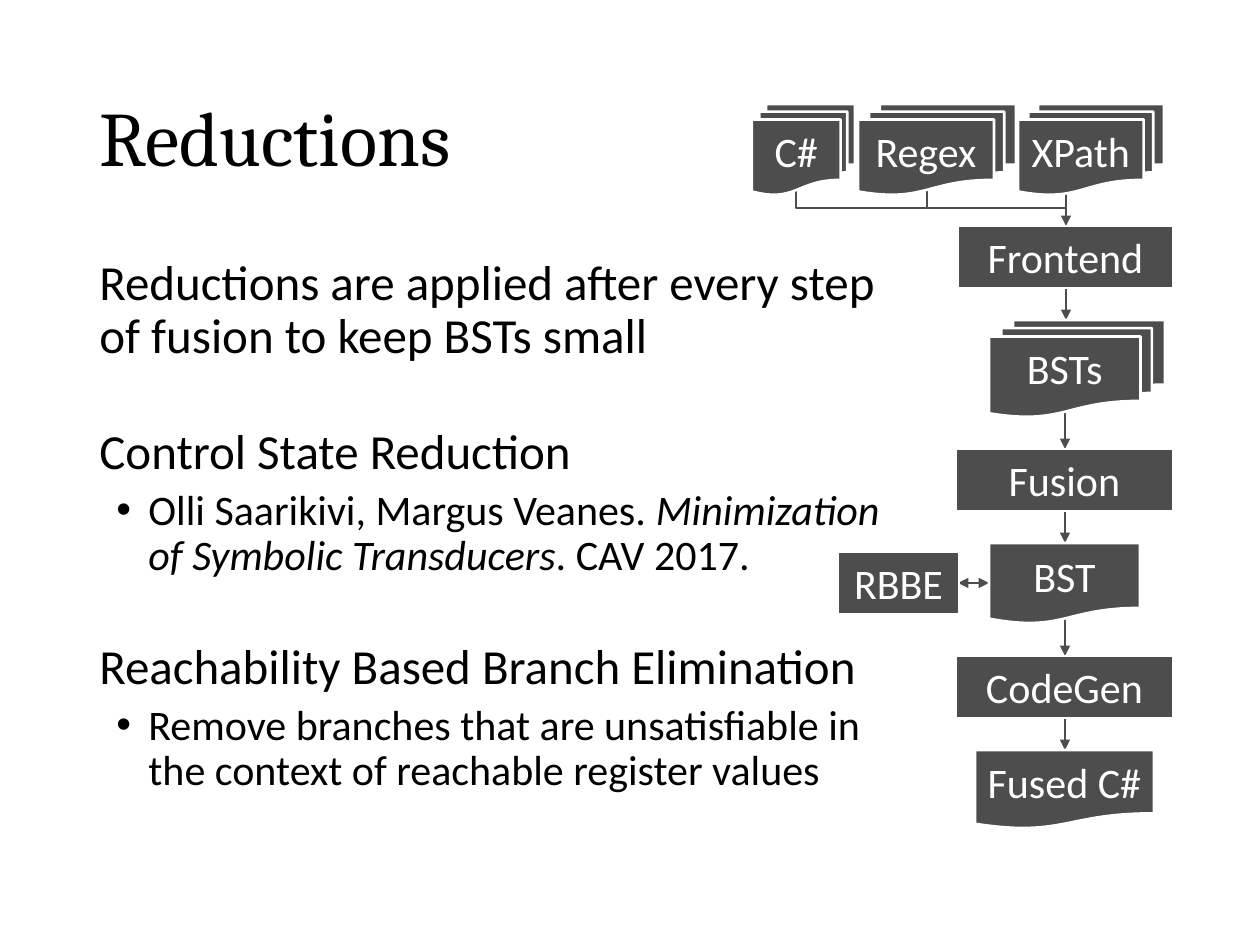
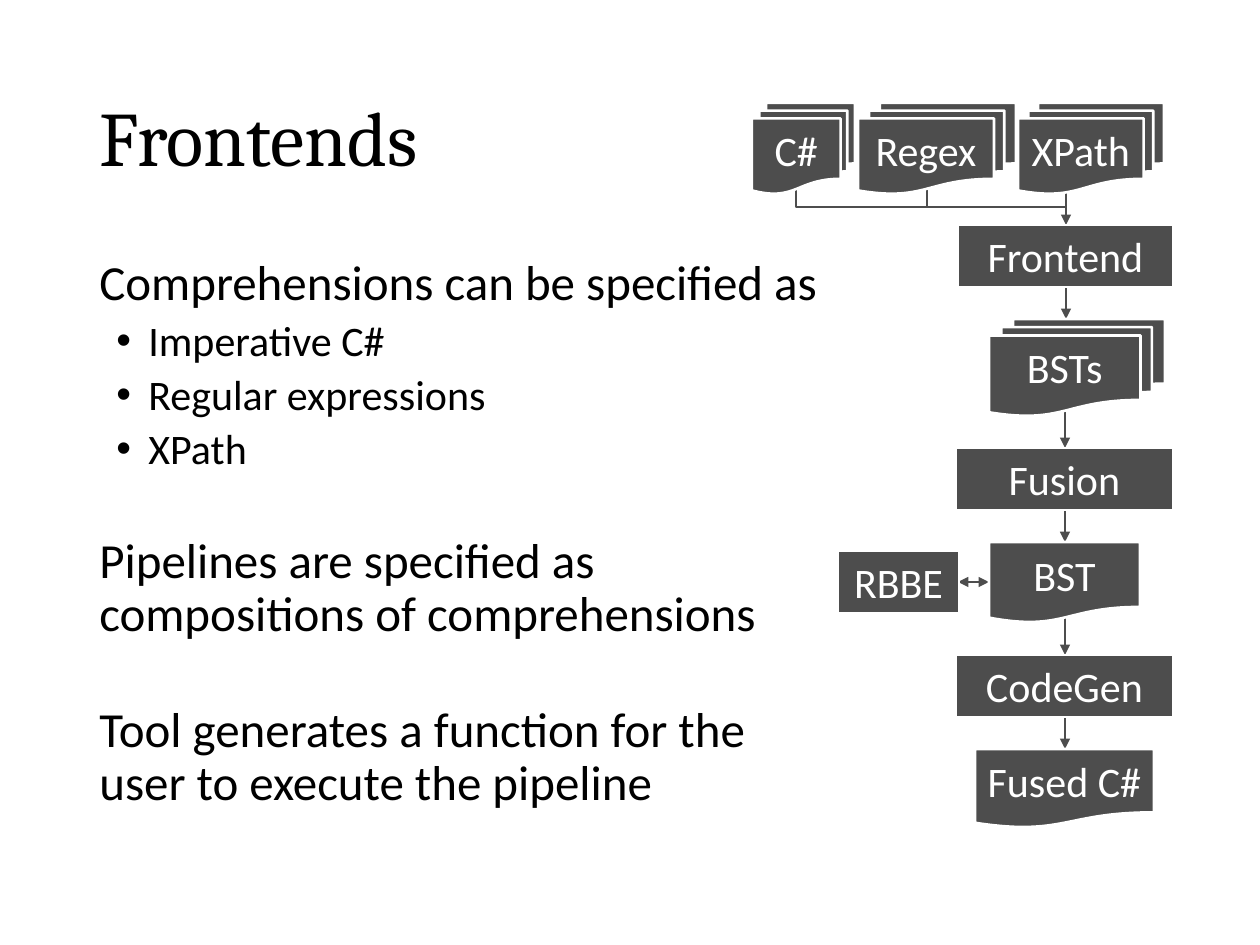
from lxml.etree import SubElement
from pptx import Presentation
from pptx.dml.color import RGBColor
from pptx.enum.shapes import MSO_CONNECTOR, MSO_SHAPE
from pptx.enum.text import MSO_ANCHOR, MSO_AUTO_SIZE, PP_ALIGN
from pptx.oxml.ns import qn
from pptx.util import Pt

GRAY = RGBColor(0x4D, 0x4D, 0x4D)
WHITE = RGBColor(0xFF, 0xFF, 0xFF)
BLACK = RGBColor(0, 0, 0)
HEAD, BODY = "Cambria", "Calibri"
STROKE = Pt(1.5)
SCALE = 914400 / 126
STACK = MSO_SHAPE.FLOWCHART_MULTIDOCUMENT
PAGE = MSO_SHAPE.FLOWCHART_DOCUMENT
STEP = MSO_SHAPE.FLOWCHART_PROCESS

BOXES = [
    ("C#", STACK, 752, 104, 103, 91),
    ("Regex", STACK, 858, 104, 158, 91),
    ("XPath", STACK, 1018, 104, 146, 91),
    ("Fused C#", PAGE, 975, 750, 179, 79),
    ("BSTs", STACK, 989, 320, 176, 97),
    ("BST", PAGE, 989, 543, 151, 81),
    ("Frontend", STEP, 958, 226, 215, 62),
    ("Fusion", STEP, 956, 449, 217, 62),
    ("RBBE", STEP, 838, 552, 121, 62),
    ("CodeGen", STEP, 956, 656, 217, 62),
]
FLOW = [
    (1066, 155, 226), (1066, 288, 320), (1065, 412, 449),
    (1065, 511, 543), (1065, 619, 656), (1065, 718, 750),
]
FEEDS = [(796, 190), (927, 164)]
HUB = (1066, 208)

SLIDES = [
    ("Reductions", 813, 0, [
        ("Reductions are applied after every step of fusion to keep BSTs small", 36, False),
        ("Control State Reduction", 36, False),
        ("Olli Saarikivi, Margus Veanes. *Minimization of Symbolic Transducers*. CAV 2017.", 5, True),
        ("Reachability Based Branch Elimination", 36, False),
        ("Remove branches that are unsatisfiable in the context of reachable register values", 5, True),
    ]),
    ("Frontends", 745, -1, [
        ("Comprehensions can be specified as", 5, False),
        ("Imperative C#", 5, True),
        ("Regular expressions", 5, True),
        ("XPath", 5, True),
        ("Pipelines are specified as compositions of comprehensions", 36, False),
        ("Tool generates a function for the user to execute the pipeline", 36, False),
    ]),
]


def px(*sizes):
    return [round(size * SCALE) for size in sizes]


def write(para, text, size=24, font=BODY, color=BLACK, align=PP_ALIGN.LEFT,
          line=None, before=0):
    para.alignment = align
    para.line_spacing = line
    para.space_before = Pt(before)
    for spot, part in enumerate(text.split("*")):
        run = para.add_run()
        run.text = part
        run.font.size = Pt(size)
        run.font.name = font
        run.font.color.rgb = color
        run.font.italic = spot % 2 == 1


def add_dot(para):
    props = para._p.get_or_add_pPr()
    left, hang = px(49, -32)
    props.set("marL", str(left))
    props.set("indent", str(hang))
    SubElement(props, qn("a:buFont")).set("typeface", "Arial")
    SubElement(props, qn("a:buChar")).set("char", "•")


def add_title(slide, text):
    title = slide.shapes.title
    title.left, title.top, title.width, title.height = px(87, 50, 1086, 183)
    frame = title.text_frame
    frame.auto_size = MSO_AUTO_SIZE.NONE
    frame.vertical_anchor = MSO_ANCHOR.MIDDLE
    write(frame.paragraphs[0], text, size=44, font=HEAD, line=0.9)


def add_body(slide, width, items):
    frame = slide.shapes.add_textbox(*px(87, 252, width, 600)).text_frame
    frame.word_wrap = True
    for spot, (text, before, dot) in enumerate(items):
        para = frame.add_paragraph() if spot else frame.paragraphs[0]
        write(para, text, size=24 if dot else 28, line=0.9, before=before)
        if dot:
            add_dot(para)


def add_line(slide, start, end, kind=MSO_CONNECTOR.STRAIGHT, tips=()):
    link = slide.shapes.add_connector(kind, *px(*start, *end))
    link.line.color.rgb = GRAY
    link.line.width = STROKE
    stroke = link.line._get_or_add_ln()
    for tip in tips:
        SubElement(stroke, qn(f"a:{tip}")).set("type", "triangle")
    props = link._element.spPr
    SubElement(props, qn("a:effectLst"))
    if kind == MSO_CONNECTOR.ELBOW:
        guide = SubElement(props.find(".//" + qn("a:avLst")), qn("a:gd"))
        guide.set("name", "adj1")
        guide.set("fmla", "val 0")


def add_box(slide, text, kind, left, top, width, height):
    box = slide.shapes.add_shape(kind, *px(left, top, width, height))
    box.shadow.inherit = False
    box.fill.solid()
    box.fill.fore_color.rgb = GRAY
    box.line.color.rgb = WHITE
    box.line.width = STROKE
    frame = box.text_frame
    frame.word_wrap = True
    frame.margin_left = frame.margin_right = 0
    frame.vertical_anchor = MSO_ANCHOR.TOP if kind == STACK else MSO_ANCHOR.MIDDLE
    if kind == STEP:
        frame.auto_size = MSO_AUTO_SIZE.SHAPE_TO_FIT_TEXT
    write(frame.paragraphs[0], text, color=WHITE, align=PP_ALIGN.CENTER)


def add_flow(slide, shift):
    hub = (HUB[0], HUB[1] + shift)
    for left, top in FEEDS:
        add_line(slide, (left, top + shift), hub, kind=MSO_CONNECTOR.ELBOW)
    for mid, top, end in FLOW:
        add_line(slide, (mid, top + shift), (mid, end + shift), tips=["tailEnd"])
    add_line(slide, (989, 583 + shift), (958, 583 + shift), tips=["headEnd", "tailEnd"])
    for text, kind, left, top, width, height in BOXES:
        add_box(slide, text, kind, left, top + shift, width, height)


def main():
    deck = Presentation()
    deck.slide_width, deck.slide_height = px(1260, 945)
    for title, width, shift, items in SLIDES:
        slide = deck.slides.add_slide(deck.slide_layouts[5])
        add_title(slide, title)
        add_body(slide, width, items)
        add_flow(slide, shift)
    deck.save("out.pptx")


if __name__ == "__main__":
    main()
